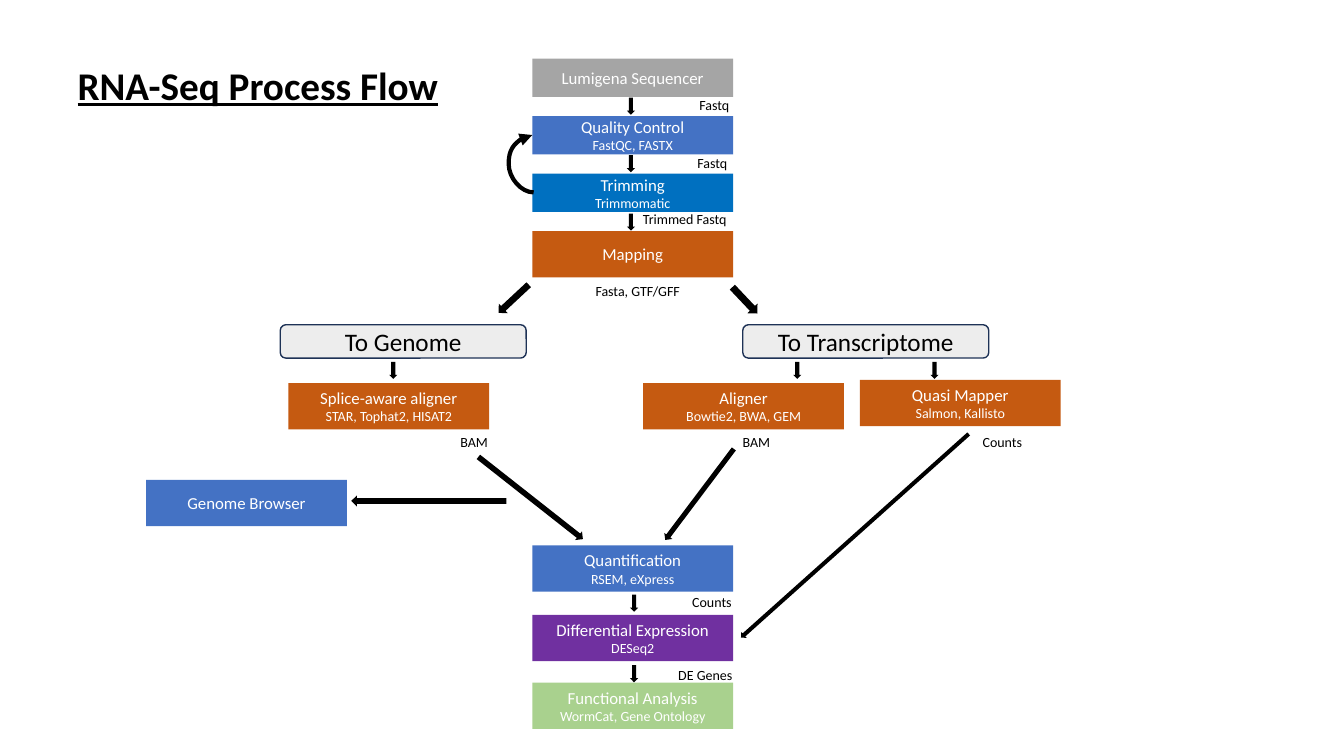
from lxml import etree
from pptx import Presentation
from pptx.dml.color import RGBColor
from pptx.enum.shapes import MSO_CONNECTOR, MSO_SHAPE
from pptx.enum.text import MSO_ANCHOR, MSO_AUTO_SIZE, PP_ALIGN
from pptx.oxml.ns import qn
from pptx.util import Pt

RECTANGLE = MSO_SHAPE.RECTANGLE
ROUNDED = MSO_SHAPE.ROUNDED_RECTANGLE
DOWN_ARROW = MSO_SHAPE.DOWN_ARROW
CURVE = MSO_CONNECTOR.CURVE
TOP, MIDDLE = MSO_ANCHOR.TOP, MSO_ANCHOR.MIDDLE
LEFT, CENTER = PP_ALIGN.LEFT, PP_ALIGN.CENTER
FIT_SHAPE = MSO_AUTO_SIZE.SHAPE_TO_FIT_TEXT

BLACK = RGBColor(0x00, 0x00, 0x00)
WHITE = RGBColor(0xFF, 0xFF, 0xFF)
GRAY = RGBColor(0xA5, 0xA5, 0xA5)
PALE_GRAY = RGBColor(0xED, 0xED, 0xED)
NAVY = RGBColor(0x1E, 0x32, 0x56)
BLUE = RGBColor(0x44, 0x72, 0xC4)
BRIGHT_BLUE = RGBColor(0x00, 0x70, 0xC0)
ORANGE = RGBColor(0xC5, 0x5A, 0x11)
PURPLE = RGBColor(0x70, 0x30, 0xA0)
GREEN = RGBColor(0xA9, 0xD1, 0x8E)


class FlowSlide:
    font = "Calibri"
    step_width = 143.5
    label_height = 19.4

    def __init__(self, presentation):
        self.slide = presentation.slides.add_slide(presentation.slide_layouts[5])
        self.shapes = self.slide.shapes

    def add_text(self, paragraph, text, size, color, align, strong=False):
        paragraph.alignment = align
        run = paragraph.add_run()
        run.text = text
        run.font.name = self.font
        run.font.size = Pt(size)
        run.font.color.rgb = color
        if strong:
            run.font.bold = True
            run.font.underline = True

    def title(self, text, left, top, width, height):
        shape = self.shapes.title
        shape.left, shape.top = Pt(left), Pt(top)
        shape.width, shape.height = Pt(width), Pt(height)
        frame = shape.text_frame
        frame.word_wrap = False
        frame.auto_size = FIT_SHAPE
        frame.vertical_anchor = TOP
        self.add_text(frame.paragraphs[0], text, 28, BLACK, LEFT, strong=True)

    def block(self, kind, left, top, width, height, fill, line=None):
        shape = self.shapes.add_shape(kind, Pt(left), Pt(top), Pt(width), Pt(height))
        shape.shadow.inherit = False
        shape.fill.solid()
        shape.fill.fore_color.rgb = fill
        if line is None:
            shape.line.fill.background()
        else:
            shape.line.color.rgb = line
            shape.line.width = Pt(1)
        shape.text_frame.vertical_anchor = MIDDLE
        return shape

    def step(self, name, tools, left, top, fill, height=33.1):
        frame = self.block(RECTANGLE, left, top, self.step_width, height, fill).text_frame
        self.add_text(frame.paragraphs[0], name, 12, WHITE, CENTER)
        if tools:
            self.add_text(frame.add_paragraph(), tools, 10, WHITE, CENTER)

    def branch(self, name, left):
        frame = self.block(ROUNDED, left, 232, 175.7, 23.8, PALE_GRAY, NAVY).text_frame
        self.add_text(frame.paragraphs[0], name, 18, BLACK, CENTER)

    def arrow(self, left, top, width=5.8, height=12.2, rotation=0):
        self.block(DOWN_ARROW, left, top, width, height, BLACK).rotation = rotation

    def label(self, text, left, top, width):
        box = self.shapes.add_textbox(Pt(left), Pt(top), Pt(width), Pt(self.label_height))
        frame = box.text_frame
        frame.word_wrap = False
        frame.auto_size = FIT_SHAPE
        self.add_text(frame.paragraphs[0], text, 10, BLACK, LEFT)

    def loop(self, start_x, start_y, end_x, end_y, bulge):
        connector = self.shapes.add_connector(
            CURVE, Pt(start_x), Pt(start_y), Pt(end_x), Pt(end_y))
        connector.line.color.rgb = BLACK
        connector.line.width = Pt(3)
        properties = connector._element.spPr
        etree.SubElement(properties.find(qn("a:ln")), qn("a:tailEnd"), type="triangle")
        etree.SubElement(properties, qn("a:effectLst"))
        adjustments = properties.find(qn("a:prstGeom")).get_or_add_avLst()
        ratio = round(bulge / abs(end_x - start_x) * 100000)
        etree.SubElement(adjustments, qn("a:gd"), name="adj1", fmla=f"val {ratio}")


presentation = Presentation()
presentation.slide_width = Pt(960)
presentation.slide_height = Pt(540)
flow = FlowSlide(presentation)

flow.title("RNA-Seq Process Flow", 48.2, 40.3, 275, 41)

main_left = 380.2
preparation = [
    ("Lumigena Sequencer", None, GRAY, 27.4),
    ("Quality Control", "FastQC, FASTX", BLUE, 27.4),
    ("Trimming", "Trimmomatic", BRIGHT_BLUE, 27.4),
    ("Mapping", None, ORANGE, 33.1),
]
for index, (name, tools, fill, height) in enumerate(preparation):
    flow.step(name, tools, main_left, 41.8 + 41.1 * index, fill, height)

for name, left in (("To Genome", 200.2), ("To Transcriptome", 530.6)):
    flow.branch(name, left)

for name, tools, left, top, fill in (
    ("Splice-aware aligner", "STAR, Tophat2, HISAT2", 206, 273.6, ORANGE),
    ("Aligner", "Bowtie2, BWA, GEM", 459.4, 273.6, ORANGE),
    ("Quasi Mapper", "Salmon, Kallisto", 614.2, 271.4, ORANGE),
    ("Genome Browser", None, 104.4, 342.8, BLUE),
    ("Quantification", "RSEM, eXpress", main_left, 389.6, BLUE),
    ("Differential Expression", "DESeq2", main_left, 439.2, PURPLE),
    ("Functional Analysis", "WormCat, Gene Ontology", main_left, 487.6, GREEN),
):
    flow.step(name, tools, left, top, fill)

for top in (69.8, 110.9, 152.6):
    flow.arrow(447.8, top)
for top in (424.8, 475.2):
    flow.arrow(450, top)
for left in (278, 566.6, 664.6):
    flow.arrow(left, 258.5)

for left, top, width, height, rotation in (
    (362.2, 198.7, 9.4, 29.5, 47),
    (527, 201.6, 10.1, 25.9, 316.6),
    (375.1, 308.2, 7.9, 95, 308.2),
    (496.1, 312.5, 7.2, 81.4, 37),
    (607.7, 273.6, 5.8, 218.2, 48.2),
    (302.4, 302.4, 7.9, 110.9, 90),
):
    flow.arrow(left, top, width, height, rotation)

flow.loop(381.2, 137.5, 380.2, 96.5, 18)

for text, left, top, width in (
    ("Fastq", 492.5, 65.5, 36.7),
    ("Fastq", 491, 106.6, 36.7),
    ("Trimmed Fastq", 452.2, 146.9, 76.3),
    ("Fasta, GTF/GFF", 418.3, 198, 76.3),
    ("BAM", 321.8, 306, 34.6),
    ("BAM", 523.4, 306, 34.6),
    ("Counts", 694.8, 306, 43.2),
    ("Counts", 487.4, 420.5, 43.2),
    ("DE Genes", 477.4, 472.3, 53.3),
):
    flow.label(text, left, top, width)

presentation.save("out.pptx")
